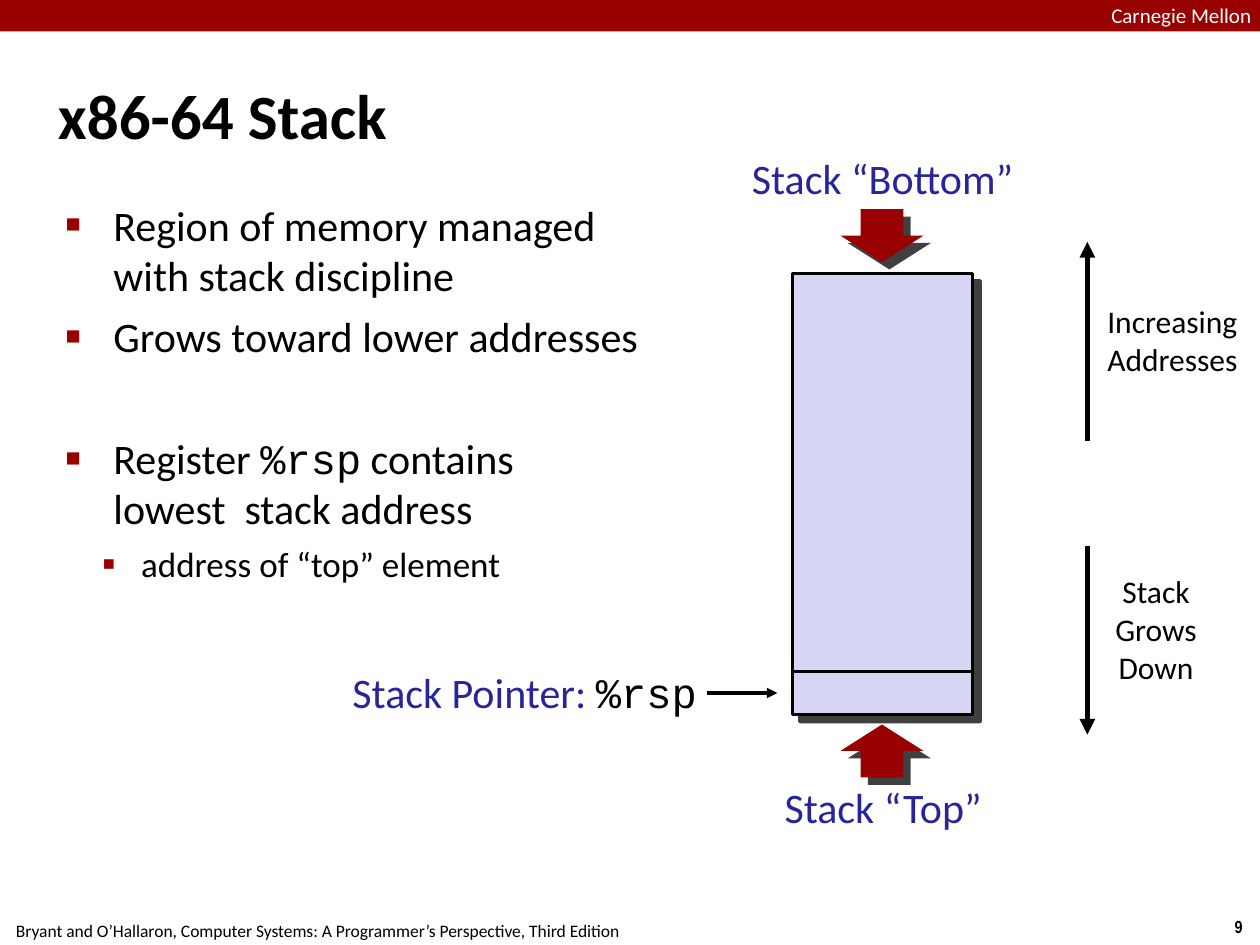
"""Build the x86-64 stack slide."""
from dataclasses import dataclass

from lxml import etree
from pptx import Presentation
from pptx import util as u
from pptx.dml.color import RGBColor
from pptx.enum import shapes, text
from pptx.oxml import ns

BLACK, WHITE, RED, BLUE = "000000", "FFFFFF", "990000", "262699"
ARROW_RED, LAVENDER = "980002", "D6D6F4"
LEFT, CENTER, RIGHT = text.PP_ALIGN.LEFT, text.PP_ALIGN.CENTER, text.PP_ALIGN.RIGHT


@dataclass(frozen=True)
class Run:
    text: str
    size: float = 24
    color: str = BLACK
    name: str = "Calibri"
    bold: bool = False


@dataclass(frozen=True)
class Label:
    box: tuple
    lines: tuple
    align: int = CENTER
    inset: tuple = (0.04, 0.04)
    wrap: bool = False
    filled: bool = False


@dataclass(frozen=True)
class Line:
    start: tuple
    end: tuple
    width: float
    arrow: bool = True


@dataclass(frozen=True)
class Bullet:
    lines: tuple
    before: float
    level: int = 0


@dataclass(frozen=True)
class BulletStyle:
    margin: float
    indent: float
    mark: str
    percent: int


BULLET_STYLES = (BulletStyle(0.38, -0.38, "■", 60), BulletStyle(0.6, -0.31, "▪", 110))

BULLETS = (
    Bullet(((Run("Region of memory managed with stack discipline"),),), 0),
    Bullet(((Run("Grows toward lower addresses"),),), 6),
    Bullet(((Run("Register "), Run("%rsp", name="Courier New"), Run(" contains ")),
            (Run("lowest  stack address"),)), 41),
    Bullet(((Run("address of “top” element", 20),),), 5, 1),
)

FRAME_LABELS = (
    Label((9.66, 7.22, 0.34, 0.27), ((Run("9", 10, name="Arial Narrow", bold=True),),),
          inset=(0.1, 0.05)),
    Label((-0.02, 7.25, 5.08, 0.27),
          ((Run("Bryant and O’Hallaron, Computer Systems: "
                "A Programmer’s Perspective, Third Edition", 10),),), inset=(0.1, 0.05)),
    Label((8.82, 0.02, 1.44, 0.19), ((Run("Carnegie Mellon", 12, WHITE),),), LEFT, (0, 0), True),
)

DIAGRAM_LABELS = (
    Label((2.69, 5.25, 2.88, 0.5),
          ((Run("Stack Pointer: ", color=BLUE), Run("%rsp", name="Courier New")),), RIGHT),
    Label((8.73, 4.5, 0.89, 1), ((Run("Stack Grows", 18),), (Run("Down", 18),)),
          wrap=True, filled=True),
    Label((8.74, 2.36, 1.13, 0.69), ((Run("Increasing", 18),), (Run("Addresses", 18),)),
          filled=True),
    Label((6.16, 6.16, 1.7, 0.49), ((Run("Stack “Top”", color=BLUE),),)),
    Label((5.89, 1.17, 2.23, 0.49), ((Run("Stack “Bottom”", color=BLUE),),)),
)

LINES = (
    Line((5.61, 5.5), (6.17, 5.5), 2),
    Line((8.63, 4.33), (8.63, 5.83), 3),
    Line((8.63, 3.5), (8.63, 1.92), 3),
    Line((6.29, 5.33), (7.71, 5.33), 2, False),
)


def rgb(color: str) -> RGBColor:
    return RGBColor.from_string(color)


def inches(values: tuple) -> list:
    return [u.Inches(value) for value in values]


def set_all(target, values: dict) -> None:
    for name, value in values.items():
        setattr(target, name, value)


def add_xml(parent, tag: str, **attributes: str):
    return etree.SubElement(parent, ns.qn(tag), attributes)


def add_runs(paragraph, runs: tuple) -> None:
    for item in runs:
        run = paragraph.add_run()
        run.text = item.text
        set_all(run.font, {"size": u.Pt(item.size), "name": item.name, "bold": item.bold})
        run.font.color.rgb = rgb(item.color)


def paint(shape, fill: str, line: str = "", width: float = 0, shadow: bool = False) -> None:
    shape.fill.solid()
    shape.fill.fore_color.rgb = rgb(fill)
    if line:
        shape.line.color.rgb = rgb(line)
        shape.line.width = u.Pt(width)
    else:
        shape.line.fill.background()
    shape.shadow.inherit = False
    if shadow:
        effects = shape.element.spPr.find(ns.qn("a:effectLst"))
        outer = add_xml(effects, "a:outerShdw", blurRad="0", dist=str(u.Pt(6)),
                        dir="2700000", algn="ctr", rotWithShape="0")
        add_xml(add_xml(outer, "a:srgbClr", val=BLACK), "a:alpha", val="75000")


def add_rectangle(slide, box: tuple):
    return slide.shapes.add_shape(shapes.MSO_SHAPE.RECTANGLE, *inches(box))


def add_label(slide, label: Label) -> None:
    if label.filled:
        shape = add_rectangle(slide, label.box)
        paint(shape, WHITE)
    else:
        shape = slide.shapes.add_textbox(*inches(label.box))
    frame = shape.text_frame
    side, top = inches(label.inset)
    sizing = text.MSO_AUTO_SIZE.NONE if label.wrap else text.MSO_AUTO_SIZE.SHAPE_TO_FIT_TEXT
    set_all(frame, {"margin_left": side, "margin_right": side, "margin_top": top,
                    "margin_bottom": top, "word_wrap": label.wrap, "auto_size": sizing,
                    "vertical_anchor": text.MSO_ANCHOR.TOP})
    for index, runs in enumerate(label.lines):
        paragraph = frame.add_paragraph() if index else frame.paragraphs[0]
        paragraph.alignment = label.align
        add_runs(paragraph, runs)


def add_line(slide, line: Line) -> None:
    connector = slide.shapes.add_connector(
        shapes.MSO_CONNECTOR.STRAIGHT, *inches(line.start + line.end))
    connector.line.color.rgb = rgb(BLACK)
    connector.line.width = u.Pt(line.width)
    if line.arrow:
        add_xml(connector.line._get_or_add_ln(), "a:tailEnd", type="triangle")
    add_xml(connector.element.spPr, "a:effectLst")


def add_block_arrow(slide, tip: float, direction: int) -> None:
    center, shoulder, tail = 7, tip - direction * 0.21, tip - direction * 0.42
    offsets = ((-0.33, shoulder), (-0.17, shoulder), (-0.17, tail), (0.17, tail),
               (0.17, shoulder), (0.33, shoulder), (0, tip))
    points = [inches((center + x, y)) for x, y in offsets]
    builder = slide.shapes.build_freeform(*points[0])
    builder.add_line_segments(points[1:], close=True)
    paint(builder.convert_to_shape(), ARROW_RED, shadow=True)


def place(shape, box: tuple) -> None:
    set_all(shape, dict(zip(("left", "top", "width", "height"), inches(box))))


def fill_title(title) -> None:
    place(title, (0.42, 0.28, 9.17, 1.25))
    frame = title.text_frame
    margins = ("margin_left", "margin_right", "margin_top", "margin_bottom")
    set_all(frame, {name: u.Inches(0.04) for name in margins})
    set_all(frame, {"vertical_anchor": text.MSO_ANCHOR.MIDDLE, "word_wrap": True,
                    "auto_size": text.MSO_AUTO_SIZE.NONE})
    frame.paragraphs[0].alignment = LEFT
    add_runs(frame.paragraphs[0], (Run("x86-64 Stack", 36, bold=True),))


def fill_body(body) -> None:
    place(body, (0.42, 1.53, 4.88, 5.94))
    frame = body.text_frame
    set_all(frame, {"word_wrap": True, "auto_size": text.MSO_AUTO_SIZE.NONE})
    for index, bullet in enumerate(BULLETS):
        paragraph = frame.add_paragraph() if index else frame.paragraphs[0]
        style = BULLET_STYLES[bullet.level]
        properties = paragraph._p.get_or_add_pPr()
        properties.set("marL", str(u.Inches(style.margin)))
        properties.set("indent", str(u.Inches(style.indent)))
        add_xml(add_xml(properties, "a:buClr"), "a:srgbClr", val=RED)
        add_xml(properties, "a:buSzPct", val=str(style.percent * 1000))
        add_xml(properties, "a:buChar", char=style.mark)
        set_all(paragraph, {"level": bullet.level, "space_before": u.Pt(bullet.before)})
        for number, runs in enumerate(bullet.lines):
            if number:
                paragraph.add_line_break()
            add_runs(paragraph, runs)


def main() -> None:
    presentation = Presentation()
    set_all(presentation, {"slide_width": u.Inches(10), "slide_height": u.Inches(7.5)})
    slide = presentation.slides.add_slide(presentation.slide_layouts[1])
    fill_title(slide.shapes.title)
    fill_body(slide.placeholders[1])
    paint(add_rectangle(slide, (0, 0, 10, 0.25)), RED)
    for label in FRAME_LABELS:
        add_label(slide, label)
    paint(add_rectangle(slide, (6.29, 2.17, 1.43, 3.5)), LAVENDER, BLACK, 2, True)
    for label in DIAGRAM_LABELS:
        add_label(slide, label)
    for line in LINES:
        add_line(slide, line)
    add_block_arrow(slide, 2.08, 1)
    add_block_arrow(slide, 5.75, -1)
    presentation.save("out.pptx")


if __name__ == "__main__":
    main()
